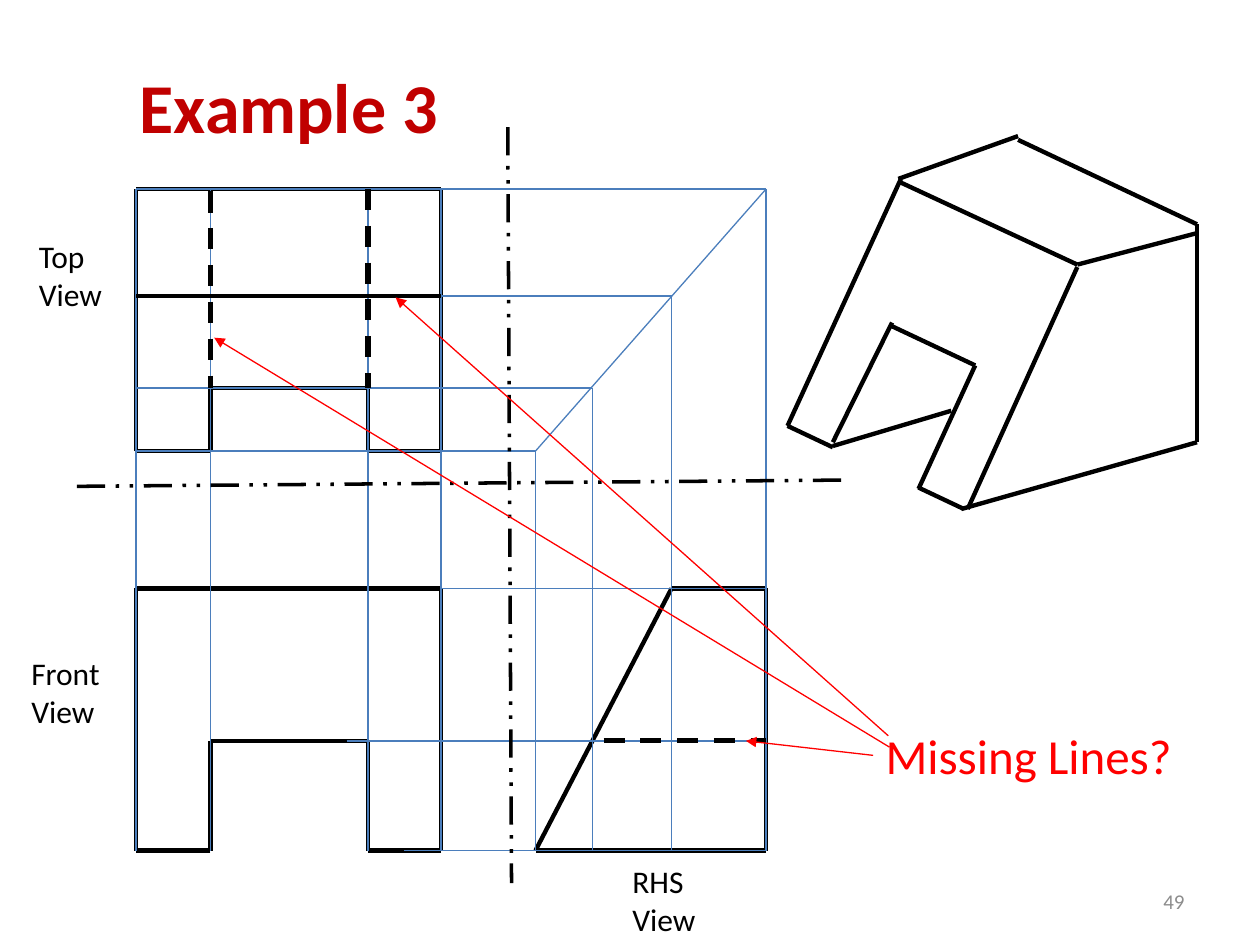
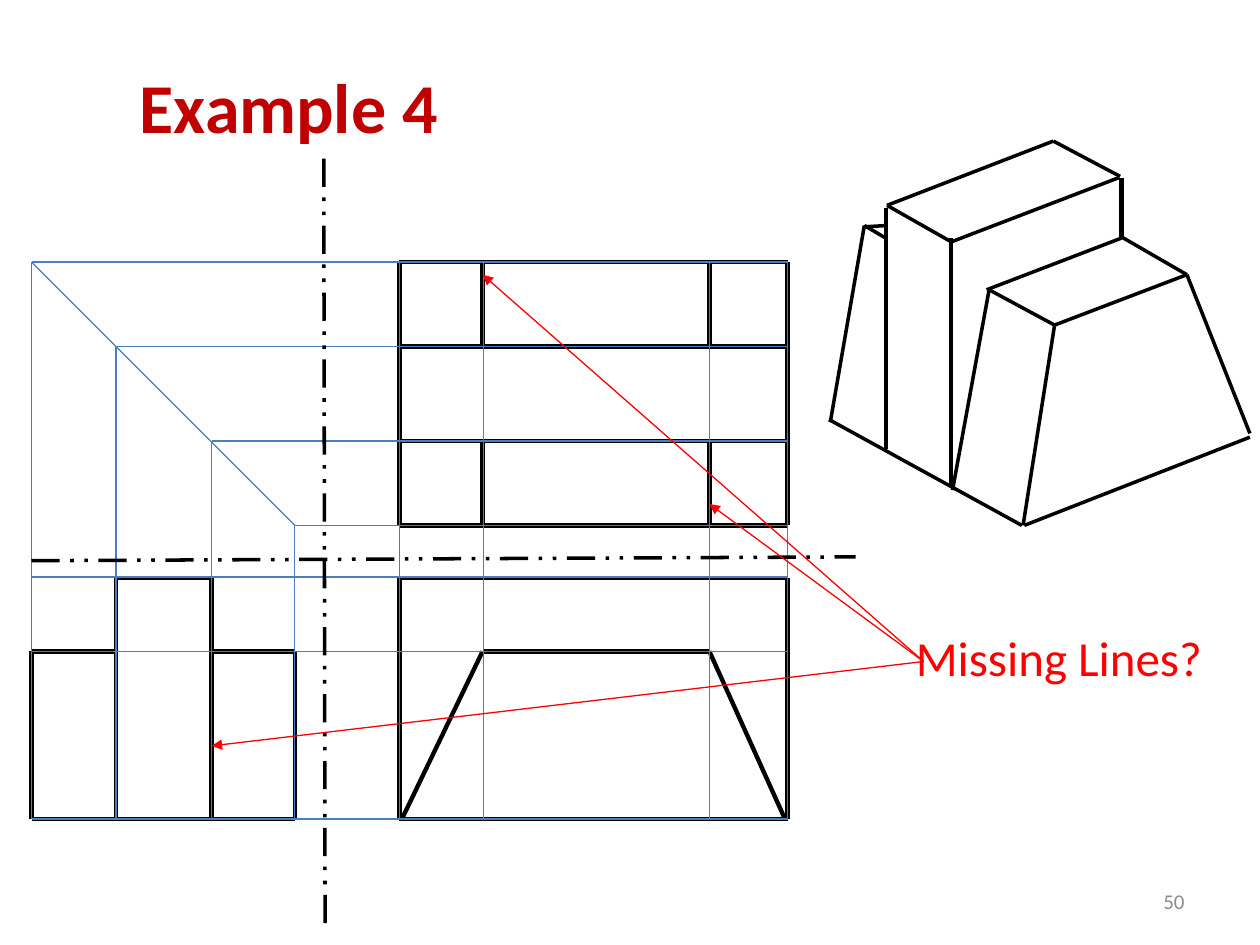
from itertools import pairwise

from lxml import etree
from pptx import Presentation
from pptx.dml.color import RGBColor
from pptx.enum.dml import MSO_LINE
from pptx.enum.shapes import MSO_CONNECTOR
from pptx.enum.text import MSO_ANCHOR, PP_ALIGN
from pptx.oxml.ns import qn
from pptx.util import Pt

PX = 9144  # 100 px to the inch
FONT = "Calibri"
STRAIGHT = MSO_CONNECTOR.STRAIGHT
DASH = MSO_LINE.DASH
AXIS_DASH = MSO_LINE.DASH_DOT_DOT
LEFT, RIGHT = PP_ALIGN.LEFT, PP_ALIGN.RIGHT
MIDDLE, TOP = MSO_ANCHOR.MIDDLE, MSO_ANCHOR.TOP
TITLE_ONLY = 5
LEFT_SIDE = 1

COLORS = {
    "title": "C00000",
    "ink": "000000",
    "projection": "4B7EBC",
    "missing": "FF0000",
    "number": "8C8C8C",
}

# colour, width in points, dash
LINES = {
    "outline": ("ink", 2.5, None),
    "solid": ("ink", 2, None),
    "hidden": ("ink", 3, DASH),
    "axis": ("ink", 2, AXIS_DASH),
    "projection": ("projection", 0.75, None),
    "arrow": ("missing", 0.75, None),
}


def color(name):
    return RGBColor.from_string(COLORS[name])


def draw_line(page, start, end, style):
    line = page.shapes.add_connector(
        STRAIGHT, *(value * PX for value in (*start, *end)))
    color_name, width, dash = LINES[style]
    line.line.color.rgb = color(color_name)
    line.line.width = Pt(width)
    if dash:
        line.line.dash_style = dash
    properties = line._element.spPr
    if style == "arrow":
        etree.SubElement(properties.find(qn("a:ln")), qn("a:tailEnd"), type="triangle")
    etree.SubElement(properties, qn("a:effectLst"))
    return line


def draw_paths(page, box, paths, style="outline"):
    """Draw each path, a list of points relative to the box, as joined lines."""
    left, top = box[:2]
    for path in paths:
        points = [(left + x, top + y) for x, y in path]
        for start, end in pairwise(points):
            draw_line(page, start, end, style)


def frame_path(box):
    width, height = box[2:]
    return [(0, 0), (width, 0), (width, height), (0, height), (0, 0)]


def format_text(frame, size, color_name, align=LEFT, bold=False):
    for para in frame.paragraphs:
        para.alignment = align
        for span in para.runs:
            span.font.name = FONT
            span.font.size = Pt(size)
            span.font.bold = bold
            span.font.color.rgb = color(color_name)


def add_text(page, box, text, size, color_name, align=LEFT, anchor=TOP):
    shape = page.shapes.add_textbox(*(value * PX for value in box))
    frame = shape.text_frame
    frame.text = text
    frame.word_wrap = align == RIGHT
    frame.vertical_anchor = anchor
    format_text(frame, size, color_name, align)
    return shape


def add_page(deck, title, number):
    page = deck.slides.add_slide(deck.slide_layouts[TITLE_ONLY])
    heading = page.shapes.title
    heading.left, heading.top, heading.width, heading.height = (
        value * PX for value in (101, 25, 304, 117))
    heading.text_frame.text = title
    heading.text_frame.vertical_anchor = MIDDLE
    format_text(heading.text_frame, 40, "title", bold=True)
    add_text(page, (717, 695, 233, 40), str(number), 12, "number", RIGHT, MIDDLE)
    return page


def draw_projections(page, box, folds, fold_start, columns, rows):
    """Carry each depth around the mitre line, then project columns and rows."""
    width, height = box[2:]
    paths = [[(fold_start, y), (x, y), (x, height)] for x, y in folds]
    paths.append([folds[0], folds[-1]])
    paths += [[(x, height), (x, 0)] for x in columns]
    paths += [[(start, y), (width, y)] for start, y in rows]
    draw_paths(page, box, paths, "projection")


def draw_missing_lines(page, box, arrows):
    """Add the question and its arrows, given as start and target on the page."""
    question = add_text(page, box, "Missing Lines?", 28, "missing")
    left, top, _, height = box
    for start, target in arrows:
        arrow = draw_line(page, start, target, "arrow")
        if start == (left, top + height // 2):
            arrow.begin_connect(question, LEFT_SIDE)


def draw_notched_view(page, box, notch):
    """Outline a block with a notch of the given height cut from its bottom."""
    width, height = box[2:]
    inner_left, inner_right, notch_top = 59, 184, height - notch
    draw_paths(page, box, [[
        (0, 0), (width, 0), (width, height), (inner_right, height),
        (inner_right, notch_top), (inner_left, notch_top),
        (inner_left, height), (0, height), (0, 0),
    ]])


def draw_sloped_side_view(page, box):
    width, height = box[2:]
    draw_paths(page, box, [[
        (108, 0), (width, 0), (width, height), (0, height), (108, 0)]])


def draw_notched_solid(page, box):
    draw_paths(page, box, [
        [(88, 36), (230, 102)],
        [(183, 3), (325, 70), (325, 243), (138, 296)],
        [(183, 0), (88, 34)],
        [(325, 77), (230, 102)],
        [(230, 104), (143, 296)],
        [(90, 34), (0, 230), (36, 247)],
        [(81, 150), (149, 182), (104, 280)],
        [(130, 218), (36, 246)],
        [(83, 148), (36, 243)],
        [(104, 279), (140, 296)],
    ])


def draw_stepped_side_view(page, box):
    width, height = box[2:]
    step, left, right = 58, 67, 143
    draw_paths(page, box, [
        [(0, step), (left, step), (left, 0), (right, 0), (right, step),
         (width, step), (width, height), (0, height), (0, step)],
        [(left, step), (left, height)],
        [(right, step), (right, height)],
    ])


def draw_tapered_front_view(page, box):
    width, height = box[2:]
    draw_paths(page, box, [
        frame_path(box),
        [(2, height), (66, 58), (246, 58), (width - 2, height)],
    ])


def draw_banded_top_view(page, box):
    width, height = box[2:]
    bands = [(0, 67), (142, height)]
    draw_paths(page, box, [
        frame_path(box),
        *([(0, y), (width, y)] for y in (67, 142)),
        *([(x, top), (x, bottom)] for x in (66, 246) for top, bottom in bands),
    ])


def draw_stepped_solid(page, box):
    draw_paths(page, box, [
        [(232, 77), (125, 118)],
        [(284, 106), (179, 146)],
        [(127, 118), (179, 146), (154, 305)],
        [(232, 76), (284, 106), (334, 232)],
        [(127, 118), (98, 277)],
        [(0, 221), (153, 305)],
        [(334, 235), (155, 305)],
        [(230, 29), (97, 80), (46, 51), (178, 0), (231, 28)],
        [(45, 77), (28, 67), (1, 223)],
        [(28, 68), (46, 67)],
    ], "solid")
    draw_paths(page, box, [
        [(97, 273), (97, 77)],
        [(45, 244), (45, 53)],
        [(232, 77), (232, 29)],
    ])


def build_example_3(deck):
    page = add_page(deck, "Example 3", 49)
    drawing = (108, 150, 500, 525)
    draw_notched_view(page, (108, 150, 242, 208), 50)
    draw_notched_view(page, (108, 467, 242, 208), 87)
    draw_sloped_side_view(page, (425, 467, 183, 208))
    draw_projections(
        page, drawing,
        folds=[(500, 0), (425, 85), (362, 158), (317, 208)], fold_start=0,
        columns=(0, 59, 184, 242),
        rows=[(242, 317), (167, 438), (213, 525)])
    draw_paths(page, drawing, [
        [(371, 438), (500, 438)],
        [(184, 0), (184, 158)],
        [(59, 2), (59, 158)],
    ], "hidden")
    draw_paths(page, drawing, [[(0, 85), (242, 85)]])
    draw_notched_solid(page, (625, 108))
    draw_line(page, (403, 101), (406, 701), "axis")
    draw_line(page, (61, 386), (673, 381), "axis")
    for name, box in (("Top", (21, 183, 79, 71)),
                      ("RHS", (492, 679, 79, 71)),
                      ("Front", (15, 514, 86, 71))):
        add_text(page, box, f"{name}\nView", 18, "ink")
    draw_missing_lines(page, (693, 571, 250, 57), [
        ((693, 599), (592, 588)),
        ((705, 584), (314, 236)),
        ((706, 593), (170, 268)),
    ])


def build_example_4(deck):
    page = add_page(deck, "Example 4", 50)
    draw_stepped_side_view(page, (25, 459, 209, 191))
    draw_tapered_front_view(page, (317, 459, 308, 191))
    draw_banded_top_view(page, (317, 208, 308, 209))
    draw_projections(
        page, (25, 208, 600, 442),
        folds=[(0, 0), (67, 67), (143, 142), (209, 209)], fold_start=600,
        columns=(292, 359, 538, 600),
        rows=[(0, 250), (0, 309), (0, 442)])
    draw_stepped_solid(page, (658, 112))
    draw_line(page, (257, 126), (258, 733), "axis")
    draw_line(page, (25, 445), (679, 442), "axis")
    draw_missing_lines(page, (717, 493, 250, 57), [
        ((733, 525), target) for target in ((168, 592), (383, 218), (563, 400))])


def main():
    deck = Presentation()
    deck.slide_width, deck.slide_height = 1000 * PX, 750 * PX
    build_example_3(deck)
    build_example_4(deck)
    deck.save("out.pptx")


if __name__ == "__main__":
    main()
